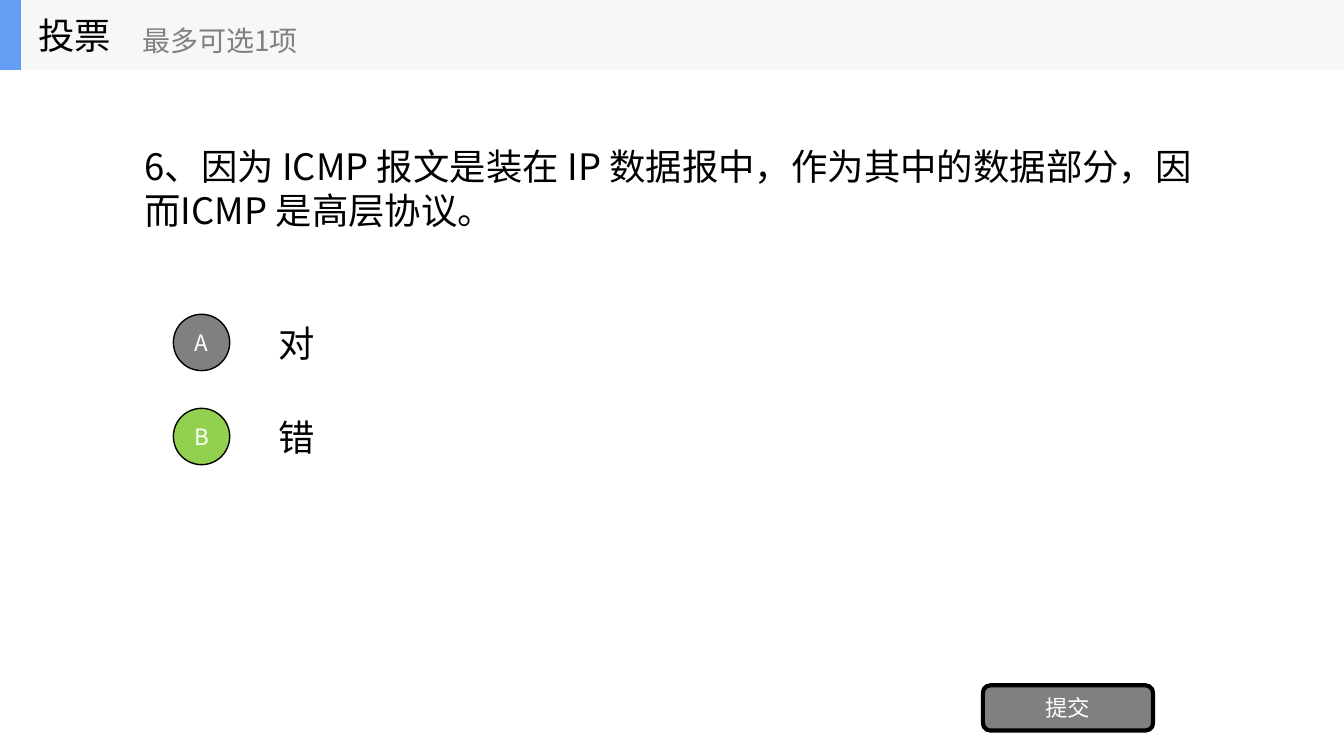
from dataclasses import dataclass

from lxml import etree
from pptx import Presentation
from pptx import util as u
from pptx.dml.color import RGBColor
from pptx.enum import shapes, text
from pptx.oxml import ns


@dataclass(frozen=True)
class Theme:
    """Colours, font and type sizes of the poll slide."""
    font: str = "Noto Sans CJK SC"
    ink: str = "000000"
    grey: str = "808080"
    white: str = "FFFFFF"
    green: str = "92D050"
    blue: str = "639EF4"
    bar: str = "F6F7F8"
    body: int = 26
    hint: int = 20
    label: int = 16


T = Theme()


def write(sp, words, size, color, align=text.PP_ALIGN.LEFT):
    """Put one vertically centred run of text into a shape."""
    tf = sp.text_frame
    tf.word_wrap = True
    tf.vertical_anchor = text.MSO_ANCHOR.MIDDLE
    p = tf.paragraphs[0]
    p.alignment = align
    r = p.add_run()
    r.text = words
    r.font.name = T.font
    r.font.size = u.Pt(size)
    r.font.color.rgb = RGBColor.from_string(color)
    ea = etree.SubElement(r.font._element, ns.qn("a:ea"))
    ea.set("typeface", T.font)


def add_text(parent, x, y, w, h, words, size, color=T.ink):
    """Add a text box with lengths in centimetres."""
    sp = parent.add_textbox(u.Cm(x), u.Cm(y), u.Cm(w), u.Cm(h))
    write(sp, words, size, color)


def add_block(parent, kind, x, y, w, h, fill, line=0):
    """Add a filled preset shape, outlined when a line width is given."""
    sp = parent.add_shape(kind, u.Cm(x), u.Cm(y), u.Cm(w), u.Cm(h))
    sp.shadow.inherit = False
    sp.fill.solid()
    sp.fill.fore_color.rgb = RGBColor.from_string(fill)
    if line:
        sp.line.color.rgb = RGBColor.from_string(T.ink)
        sp.line.width = u.Pt(line)
    else:
        sp.line.fill.background()
    return sp


def add_button(parent, kind, x, y, w, h, fill, line, words):
    """Add an outlined shape with a centred white label."""
    sp = add_block(parent, kind, x, y, w, h, fill, line)
    tf = sp.text_frame
    tf.margin_left = tf.margin_right = tf.margin_top = tf.margin_bottom = 0
    write(sp, words, T.label, T.white, text.PP_ALIGN.CENTER)


def add_header(s, x, y, w, h, title, hint):
    """Draw the title bar with its accent, title and hint."""
    group = s.shapes.add_group_shape().shapes
    rect = shapes.MSO_SHAPE.RECTANGLE
    add_block(group, rect, x, y, w, h, T.bar)
    add_block(group, rect, x, y, 0.53, h, T.blue)
    add_text(group, x + 0.71, y, 5.28, h, title, T.body)
    add_text(group, x + 3.33, y + 0.31, 6.35, h - 0.33, hint, T.hint, T.grey)


def add_options(s, x, y, w, h, options):
    """Split the box into equal rows, each a lettered circle and its answer."""
    pitch = h / len(options)
    row, dot, indent = 1.78, 1.42, 2.41
    for i, (letter, answer, fill) in enumerate(options):
        top = y + i * pitch
        add_text(s.shapes, x + indent, top, w - indent, row, answer, T.body)
        add_button(s.shapes, shapes.MSO_SHAPE.OVAL, x, top + (row - dot) / 2,
                   dot, dot, fill, 1, letter)


def main():
    """Build the poll slide and save it."""
    prs = Presentation()
    prs.slide_width, prs.slide_height = u.Cm(33.87), u.Cm(19.05)
    s = prs.slides.add_slide(prs.slide_layouts[6])
    add_text(s.shapes, 3.39, 1.76, 27.09, 5.95,
             "6、因为 ICMP 报文是装在 IP 数据报中，作为其中的数据部分，因而ICMP 是高层协议。",
             T.body)
    add_options(s, 4.37, 7.74, 26.11, 4.74,
                [("A", "对", T.grey), ("B", "错", T.green)])
    add_button(s.shapes, shapes.MSO_SHAPE.ROUNDED_RECTANGLE,
               24.77, 17.27, 4.29, 1.14, T.grey, 3, "提交")
    add_header(s, 0, 0, 33.87, 1.76, "投票", "最多可选1项")
    prs.save("out.pptx")


if __name__ == "__main__":
    main()
